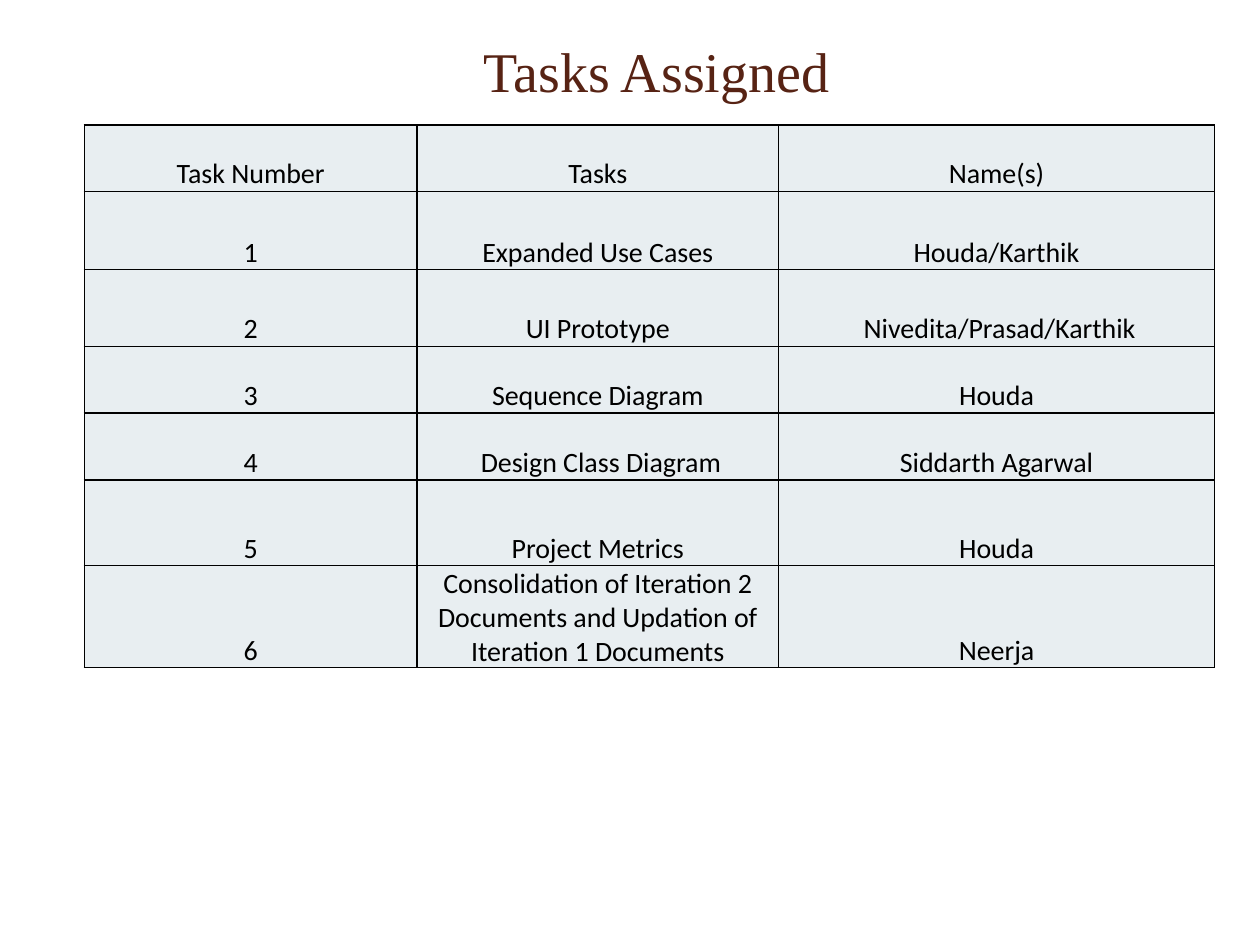
from lxml import etree
from pptx import Presentation
from pptx.dml.color import RGBColor
from pptx.enum.text import MSO_ANCHOR, PP_ALIGN
from pptx.oxml.ns import qn
from pptx.util import Inches, Pt

CENTER = PP_ALIGN.CENTER
BOTTOM = MSO_ANCHOR.BOTTOM

BROWN = RGBColor(0x57, 0x23, 0x14)
BLACK = RGBColor(0, 0, 0)
PALE_BLUE = RGBColor(0xE8, 0xEE, 0xF1)

TITLE = "Tasks Assigned"
TASKS = [
    ("Task Number", "Tasks", "Name(s)"),
    ("1", "Expanded Use Cases", "Houda/Karthik"),
    ("2", "UI Prototype", "\u00a0Nivedita/Prasad/Karthik"),
    ("3", "Sequence Diagram", "Houda"),
    ("4", " Design Class Diagram", "Siddarth Agarwal"),
    ("5", "Project Metrics", "Houda"),
    ("6", "Consolidation of Iteration 2 Documents and Updation of "
          "Iteration 1 Documents", "Neerja"),
]
COLUMN_WIDTHS = [2.64, 2.87, 3.46]
ROW_HEIGHTS = [0.53, 0.62, 0.61, 0.53, 0.53, 0.68, 0.68]
TABLE_LEFT, TABLE_TOP = 0.67, 0.99
CELL_MARGIN = 0.01


def write(text_frame, text, font_name, size, color):
    """Put one centred run of text into a text frame."""
    paragraph = text_frame.paragraphs[0]
    paragraph.alignment = CENTER
    run = paragraph.add_run()
    run.text = text
    run.font.name = font_name
    run.font.size = Pt(size)
    run.font.bold = False
    run.font.color.rgb = color


def add_borders(cell, color, width):
    """Draw a solid line on all four sides of a cell."""
    properties = cell._tc.get_or_add_tcPr()
    for side in ("a:lnL", "a:lnR", "a:lnT", "a:lnB"):
        line = etree.SubElement(properties, qn(side), w=str(Pt(width)))
        fill = etree.SubElement(line, qn("a:solidFill"))
        etree.SubElement(fill, qn("a:srgbClr"), val=str(color))


def add_title(slide):
    """Add the slide heading."""
    box = slide.shapes.add_textbox(Inches(1.46), Inches(0.29), Inches(7.5), Inches(0.58))
    box.text_frame.word_wrap = True
    box.text_frame.vertical_anchor = BOTTOM
    write(box.text_frame, TITLE, "Times New Roman", 32, BROWN)


def fill_cell(cell, text):
    """Style one table cell and write its text."""
    cell.margin_left = cell.margin_right = cell.margin_top = Inches(CELL_MARGIN)
    cell.margin_bottom = 0
    cell.vertical_anchor = BOTTOM
    add_borders(cell, BLACK, 1)
    cell.fill.solid()
    cell.fill.fore_color.rgb = PALE_BLUE
    write(cell.text_frame, text, "Calibri", 16, BLACK)


def add_task_table(slide):
    """Add the table of tasks and the people assigned to them."""
    table = slide.shapes.add_table(
        len(TASKS), len(COLUMN_WIDTHS), Inches(TABLE_LEFT), Inches(TABLE_TOP),
        Inches(sum(COLUMN_WIDTHS)), Inches(sum(ROW_HEIGHTS))).table
    table.first_row = table.horz_banding = False
    for column, width in zip(table.columns, COLUMN_WIDTHS):
        column.width = Inches(width)
    for row, height, texts in zip(table.rows, ROW_HEIGHTS, TASKS):
        row.height = Inches(height)
        for cell, text in zip(row.cells, texts):
            fill_cell(cell, text)


presentation = Presentation()
presentation.slide_width = Inches(10)
presentation.slide_height = Inches(7.5)
slide = presentation.slides.add_slide(presentation.slide_layouts[6])
add_title(slide)
add_task_table(slide)
presentation.save("out.pptx")
